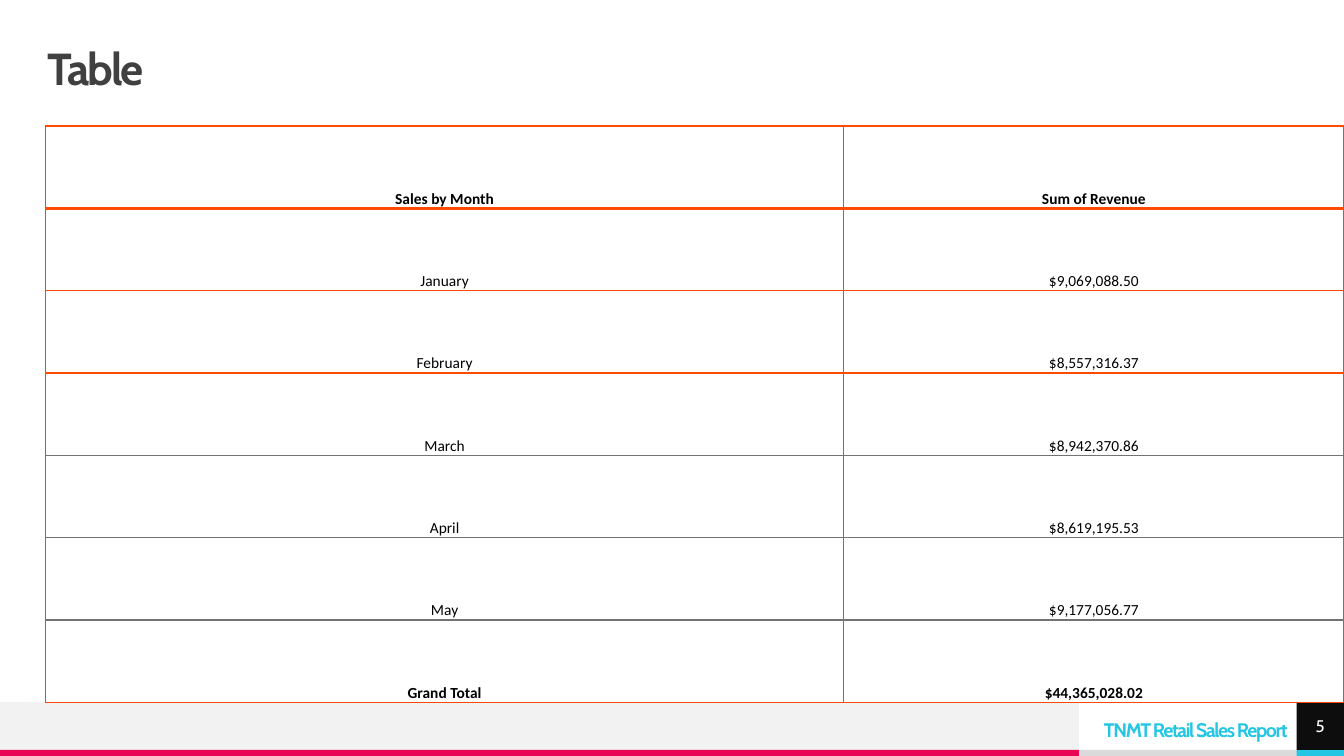
from dataclasses import dataclass

from lxml import etree
from pptx import Presentation
from pptx.dml.color import RGBColor
from pptx.enum.shapes import MSO_CONNECTOR, MSO_SHAPE
from pptx.enum.text import MSO_ANCHOR, PP_ALIGN
from pptx.oxml.ns import qn
from pptx.shapes.base import BaseShape
from pptx.slide import Slide
from pptx.table import _Cell
from pptx.text.text import TextFrame
from pptx.util import Inches, Pt

STRAIGHT = MSO_CONNECTOR.STRAIGHT
RECTANGLE = MSO_SHAPE.RECTANGLE
MIDDLE, BOTTOM = MSO_ANCHOR.MIDDLE, MSO_ANCHOR.BOTTOM
LEFT, CENTER, RIGHT = PP_ALIGN.LEFT, PP_ALIGN.CENTER, PP_ALIGN.RIGHT
TITLE_ONLY_LAYOUT = 5


@dataclass(frozen=True)
class Theme:
    heading_font: str = "Cabin"
    table_font: str = "Calibri"
    title_size: float = 32
    footer_size: float = 14
    number_size: float = 12
    table_size: float = 11
    title: str = "404040"
    band: str = "F2F2F2"
    strip: str = "DADADA"
    pink: str = "E80554"
    cyan: str = "25C6E3"
    black: str = "0D0D0D"
    white: str = "FFFFFF"
    table_text: str = "000000"
    orange: str = "FF4A01"
    gray: str = "737373"


@dataclass(frozen=True)
class Box:
    left: float
    top: float
    width: float
    height: float

    def lengths(self) -> tuple[int, ...]:
        return tuple(Inches(n) for n in (self.left, self.top, self.width, self.height))


@dataclass(frozen=True)
class Block:
    box: Box
    color: str


@dataclass(frozen=True)
class TextStyle:
    font: str
    size: float
    color: str
    bold: bool = False
    align: PP_ALIGN = CENTER
    anchor: MSO_ANCHOR = MIDDLE
    margins: tuple[float, float, float, float] = (0, 0, 0, 0)
    line_spacing: float | Pt | None = None


@dataclass(frozen=True)
class Border:
    color: str
    width: float


@dataclass(frozen=True)
class SalesRow:
    label: str
    revenue: str
    bottom: Border
    bold: bool = False


THEME = Theme()
ORANGE_THIN = Border(THEME.orange, 1)
ORANGE_MEDIUM = Border(THEME.orange, 1.5)
ORANGE_THICK = Border(THEME.orange, 2)
GRAY_THIN = Border(THEME.gray, 1)

FOOTER_BLOCKS = (
    Block(Box(10.7, 7.44, 2.17, 0.06), THEME.strip),
    Block(Box(0, 6.97, 10.7, 0.47), THEME.band),
    Block(Box(0, 7.44, 10.7, 0.06), THEME.pink),
    Block(Box(12.86, 7.44, 0.47, 0.06), THEME.cyan),
)
SALES = (
    SalesRow("Sales by Month", "Sum of Revenue", ORANGE_THICK, True),
    SalesRow("January", "$9,069,088.50", ORANGE_THIN),
    SalesRow("February", "$8,557,316.37", ORANGE_MEDIUM),
    SalesRow("March", "$8,942,370.86", GRAY_THIN),
    SalesRow("April", "$8,619,195.53", GRAY_THIN),
    SalesRow("May", "$9,177,056.77", GRAY_THIN),
    SalesRow("Grand Total", "$44,365,028.02", ORANGE_THIN, True),
)
TABLE_BOX = Box(0.45, 1.25, 12.88, 5.72)
COLUMN_WIDTHS = (7.92, 4.96)


def write_text(frame: TextFrame, text: str, style: TextStyle) -> None:
    frame.text = text
    paragraph = frame.paragraphs[0]
    paragraph.alignment = style.align
    if style.line_spacing is not None:
        paragraph.line_spacing = style.line_spacing
    font = paragraph.runs[0].font
    values = {"name": style.font, "size": Pt(style.size), "bold": style.bold}
    for name, value in values.items():
        setattr(font, name, value)
    font.color.rgb = RGBColor.from_string(style.color)


def place_text(holder: BaseShape | _Cell, frame: TextFrame, style: TextStyle) -> None:
    """Set the anchor and margins of a cell or of a shape's text frame."""
    target = holder if isinstance(holder, _Cell) else frame
    target.vertical_anchor = style.anchor
    for side, margin in zip(("left", "top", "right", "bottom"), style.margins):
        setattr(target, f"margin_{side}", Inches(margin))
    frame.word_wrap = True


def fill_text(holder: BaseShape | _Cell, text: str, style: TextStyle) -> None:
    write_text(holder.text_frame, text, style)
    place_text(holder, holder.text_frame, style)


def track_letters(shape: BaseShape, points: float) -> None:
    for properties in shape.element.iter(qn("a:rPr")):
        properties.set("spc", str(round(points * 100)))


def add_block(slide: Slide, block: Block) -> BaseShape:
    shape = slide.shapes.add_shape(RECTANGLE, *block.box.lengths())
    shape.shadow.inherit = False
    shape.fill.solid()
    shape.fill.fore_color.rgb = RGBColor.from_string(block.color)
    shape.line.fill.background()
    return shape


def add_footer(slide: Slide) -> None:
    for block in FOOTER_BLOCKS:
        add_block(slide, block)
    report = slide.shapes.add_textbox(*Box(10.7, 7.09, 2.17, 0.28).lengths())
    fill_text(report, "TNMT Retail Sales Report", TextStyle(
        THEME.heading_font, THEME.footer_size, THEME.cyan, True, RIGHT,
        margins=(0.1, 0.12, 0.1, 0), line_spacing=Pt(10)))
    track_letters(report, -1)

    rule = slide.shapes.add_connector(
        STRAIGHT, Inches(13.33), Inches(6.97), Inches(0), Inches(6.97))
    rule.line.color.rgb = RGBColor.from_string(THEME.band)
    rule.line.width = Pt(0.5)
    etree.SubElement(rule.element.spPr, qn("a:effectLst"))

    number = add_block(slide, Block(Box(12.86, 6.97, 0.47, 0.47), THEME.black))
    fill_text(number, "5", TextStyle(THEME.heading_font, THEME.number_size, THEME.white))


def add_title(slide: Slide) -> None:
    title = slide.shapes.title
    title.left, title.top, title.width, title.height = Box(0.47, 0.47, 12.39, 0.47).lengths()
    fill_text(title, "Table", TextStyle(
        THEME.heading_font, THEME.title_size, THEME.title, True, LEFT, line_spacing=0.9))
    track_letters(title, -1.5)


def set_borders(cell: _Cell, borders: dict[str, Border]) -> None:
    properties = cell._tc.get_or_add_tcPr()
    for side, border in borders.items():
        line = etree.SubElement(properties, qn(f"a:ln{side}"), w=str(Pt(border.width)))
        fill = etree.SubElement(line, qn("a:solidFill"))
        etree.SubElement(fill, qn("a:srgbClr"), val=border.color)


def add_sales_table(slide: Slide) -> None:
    frame = slide.shapes.add_table(len(SALES), len(COLUMN_WIDTHS), *TABLE_BOX.lengths())
    table = frame.table
    table.first_row = table.horz_banding = False
    for column, width in zip(table.columns, COLUMN_WIDTHS):
        column.width = Inches(width)
    top = ORANGE_THIN
    for row, sales in zip(table.rows, SALES):
        row.height = Inches(TABLE_BOX.height / len(SALES))
        style = TextStyle(THEME.table_font, THEME.table_size, THEME.table_text, sales.bold,
                          anchor=BOTTOM, margins=(0.01, 0.01, 0.01, 0))
        for cell, text in zip(row.cells, (sales.label, sales.revenue)):
            fill_text(cell, text, style)
            set_borders(cell, {"L": GRAY_THIN, "R": GRAY_THIN, "T": top, "B": sales.bottom})
            cell.fill.background()
        top = sales.bottom


def main() -> None:
    presentation = Presentation()
    presentation.slide_width, presentation.slide_height = Inches(13.33), Inches(7.5)
    slide = presentation.slides.add_slide(presentation.slide_layouts[TITLE_ONLY_LAYOUT])
    add_footer(slide)
    add_title(slide)
    add_sales_table(slide)
    presentation.save("out.pptx")


if __name__ == "__main__":
    main()
